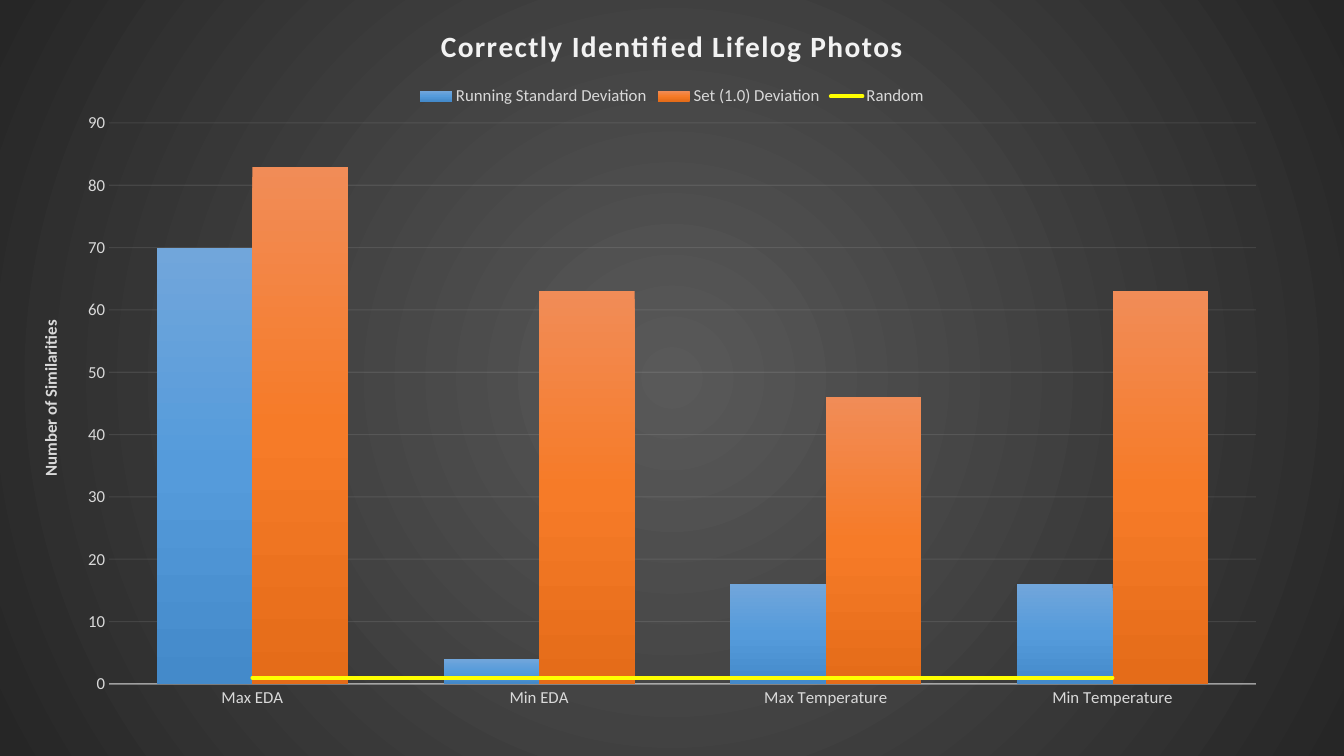
"""Build a slide with a chart of correctly identified lifelog photos."""
import copy
from dataclasses import dataclass

import lxml.etree
import pptx
import pptx.chart.data
import pptx.dml.color
import pptx.enum.chart
import pptx.oxml
import pptx.oxml.ns
import pptx.util

EMU_PER_PIXEL = 914400 / 100.8
SLIDE_WIDTH, SLIDE_HEIGHT = 1344, 756
CATEGORIES = ("Max EDA", "Min EDA", "Max Temperature", "Min Temperature")


@dataclass(frozen=True)
class Theme:
    """Colours and type sizes."""
    font: str = "Calibri"
    text: str = "D9D9D9"
    light: str = "F2F2F2"
    background: tuple[str, ...] = ("595959", "262626")
    blue: tuple[str, ...] = ("71A6DB", "559BDB", "448ACA")
    orange: tuple[str, ...] = ("F18C57", "F67B28", "E56C19")
    yellow: str = "FFFF00"
    title_size: int = 21
    label_size: int = 12


@dataclass(frozen=True)
class Bars:
    """A column series and the gradient that fills it."""
    name: str
    values: tuple[int, ...]
    colours: tuple[str, ...]


THEME = Theme()
BARS = (
    Bars("Running Standard Deviation", (70, 4, 16, 16), THEME.blue),
    Bars("Set (1.0) Deviation", (83, 63, 46, 63), THEME.orange),
)


def pixels(length: int) -> int:
    """Turn pixels into EMU."""
    return pptx.util.Emu(round(length * EMU_PER_PIXEL))


def rgb(colour: str) -> pptx.dml.color.RGBColor:
    """Read a hexadecimal colour."""
    return pptx.dml.color.RGBColor.from_string(colour)


def parse(markup: str):
    """Parse chart markup whose first tag lacks its namespaces."""
    head, separator, tail = markup.partition(">")
    return pptx.oxml.parse_xml(f"{head} {pptx.oxml.ns.nsdecls('c', 'a')}{separator}{tail}")


def gradient(colours: tuple[str, ...], direction: str) -> str:
    """Return a gradient fill with evenly spaced stops."""
    step = 100000 // (len(colours) - 1)
    stops = "".join(f'<a:gs pos="{index * step}"><a:srgbClr val="{colour}"/></a:gs>'
                    for index, colour in enumerate(colours))
    return f'<a:gradFill rotWithShape="1"><a:gsLst>{stops}</a:gsLst>{direction}</a:gradFill>'


def format_font(font, size: int, colour: str, bold: bool = False) -> None:
    """Set a font's face, size, colour and weight."""
    font.name, font.size, font.bold = THEME.font, pptx.util.Pt(size), bold
    font.color.rgb = rgb(colour)


def write_text(text_frame, text: str, *, size: int, colour: str,
               bold: bool = False, spacing: int = 0) -> None:
    """Write one formatted run of text."""
    run = text_frame.paragraphs[0].add_run()
    run.text = text
    format_font(run.font, size, colour, bold)
    run._r.get_or_add_rPr().set("spc", str(spacing))


def format_line(line, colour: str, width: float) -> None:
    """Set a line's colour and width."""
    line.color.rgb = rgb(colour)
    line.width = pptx.util.Pt(width)


def set_opacity(element, query: str, percent: int) -> None:
    """Make the colours found by a query partly transparent."""
    for colour in element.xpath(query):
        alpha = lxml.etree.SubElement(colour, pptx.oxml.ns.qn("a:alpha"))
        alpha.set("val", str(percent * 1000))


def place(element, index: int, left: int, top: int, width: int = 0, height: int = 0) -> None:
    """Give a chart part a manual layout in pixels."""
    for layout in element.findall(pptx.oxml.ns.qn("c:layout")):
        element.remove(layout)
    parts = [("x", left / SLIDE_WIDTH), ("y", top / SLIDE_HEIGHT)]
    if width:
        parts += [("w", width / SLIDE_WIDTH), ("h", height / SLIDE_HEIGHT)]
    target = '<c:layoutTarget val="inner"/>' if width else ""
    modes = "".join(f'<c:{name}Mode val="edge"/>' for name in "xy")
    values = "".join(f'<c:{name} val="{value:.4f}"/>' for name, value in parts)
    element.insert(index, parse(
        f"<c:layout><c:manualLayout>{target}{modes}{values}</c:manualLayout></c:layout>"))


def draw_bars(chart) -> None:
    """Fill the column series."""
    plot = chart.plots[0]
    plot.gap_width, plot.overlap, plot.vary_by_categories = 100, 0, False
    for series, bars in zip(plot.series, BARS):
        series.invert_if_negative = False
        series.format.fill.solid()
        solid = series._element.xpath("c:spPr/a:solidFill")[0]
        holder = parse("<c:spPr>" + gradient(bars.colours, '<a:lin ang="5400000" scaled="0"/>')
                       + "</c:spPr>")
        solid.getparent().replace(solid, holder[0])


def draw_random_line(chart) -> None:
    """Move the last series to a line plot on the same axes."""
    bar_chart = chart.plots[0]._element
    series_element = chart.plots[0].series[-1]._element
    for flag in series_element.xpath("c:invertIfNegative"):
        series_element.remove(flag)
    line_chart = parse('<c:lineChart><c:grouping val="standard"/><c:varyColors val="0"/>'
                       '<c:marker val="1"/></c:lineChart>')
    line_chart.insert(2, series_element)
    for axis_id in bar_chart.xpath("c:axId"):
        line_chart.append(copy.deepcopy(axis_id))
    bar_chart.addnext(line_chart)
    series = chart.plots[1].series[0]
    series.smooth = False
    series.marker.style = pptx.enum.chart.XL_MARKER_STYLE.NONE
    format_line(series.format.line, THEME.yellow, 2.75)
    series._element.xpath("c:spPr/a:ln")[0].set("cap", "rnd")


def draw_axes(chart) -> None:
    """Format both axes, the gridlines and the axis title."""
    category_axis, value_axis = chart.category_axis, chart.value_axis
    for axis in (category_axis, value_axis):
        axis.major_tick_mark = axis.minor_tick_mark = pptx.enum.chart.XL_TICK_MARK.NONE
        format_font(axis.tick_labels.font, THEME.label_size, THEME.text)
    format_line(category_axis.format.line, THEME.light, 1)
    set_opacity(category_axis._element, "c:spPr//a:srgbClr", 54)
    value_axis.minimum_scale, value_axis.maximum_scale, value_axis.major_unit = 0, 90, 10
    value_axis.format.line.fill.background()
    format_line(value_axis.major_gridlines.format.line, THEME.light, 0.75)
    set_opacity(value_axis._element, "c:majorGridlines//a:srgbClr", 10)
    title = value_axis.axis_title
    write_text(title.text_frame, "Number of Similarities",
               size=THEME.label_size, colour=THEME.text, bold=True)
    body = title._element.xpath("c:tx/c:rich/a:bodyPr")[0]
    body.set("rot", "-5400000")
    body.set("vert", "horz")
    place(title._element, 1, 36, 317)


def draw_chart(slide) -> None:
    """Add the chart across the whole slide."""
    data = pptx.chart.data.CategoryChartData()
    data.categories = CATEGORIES
    for bars in BARS:
        data.add_series(bars.name, bars.values)
    data.add_series("Random", (1,) * len(CATEGORIES))
    chart = slide.shapes.add_chart(
        pptx.enum.chart.XL_CHART_TYPE.COLUMN_CLUSTERED, 0, 0,
        pixels(SLIDE_WIDTH), pixels(SLIDE_HEIGHT), data).chart
    format_font(chart.font, THEME.label_size, THEME.text)
    chart.has_title = True
    write_text(chart.chart_title.text_frame, "Correctly Identified Lifelog Photos",
               size=THEME.title_size, colour=THEME.light, bold=True, spacing=100)
    chart.chart_title.include_in_layout = False
    chart.has_legend = True
    chart.legend.position = pptx.enum.chart.XL_LEGEND_POSITION.TOP
    chart.legend.include_in_layout = False
    format_font(chart.legend.font, THEME.label_size, THEME.text)
    draw_bars(chart)
    draw_random_line(chart)
    draw_axes(chart)
    place(chart._chartSpace.xpath("c:chart/c:plotArea")[0], 0, 109, 123, 1147, 561)
    centre = '<a:path path="circle"><a:fillToRect l="50000" t="50000" r="50000" b="50000"/></a:path>'
    chart._chartSpace.xpath("c:txPr")[0].addprevious(parse(
        f"<c:spPr>{gradient(THEME.background, centre)}<a:ln><a:noFill/></a:ln></c:spPr>"))


def main() -> None:
    """Build and save the presentation."""
    presentation = pptx.Presentation()
    presentation.slide_width, presentation.slide_height = pixels(SLIDE_WIDTH), pixels(SLIDE_HEIGHT)
    draw_chart(presentation.slides.add_slide(presentation.slide_layouts[6]))
    presentation.save("out.pptx")


main()
